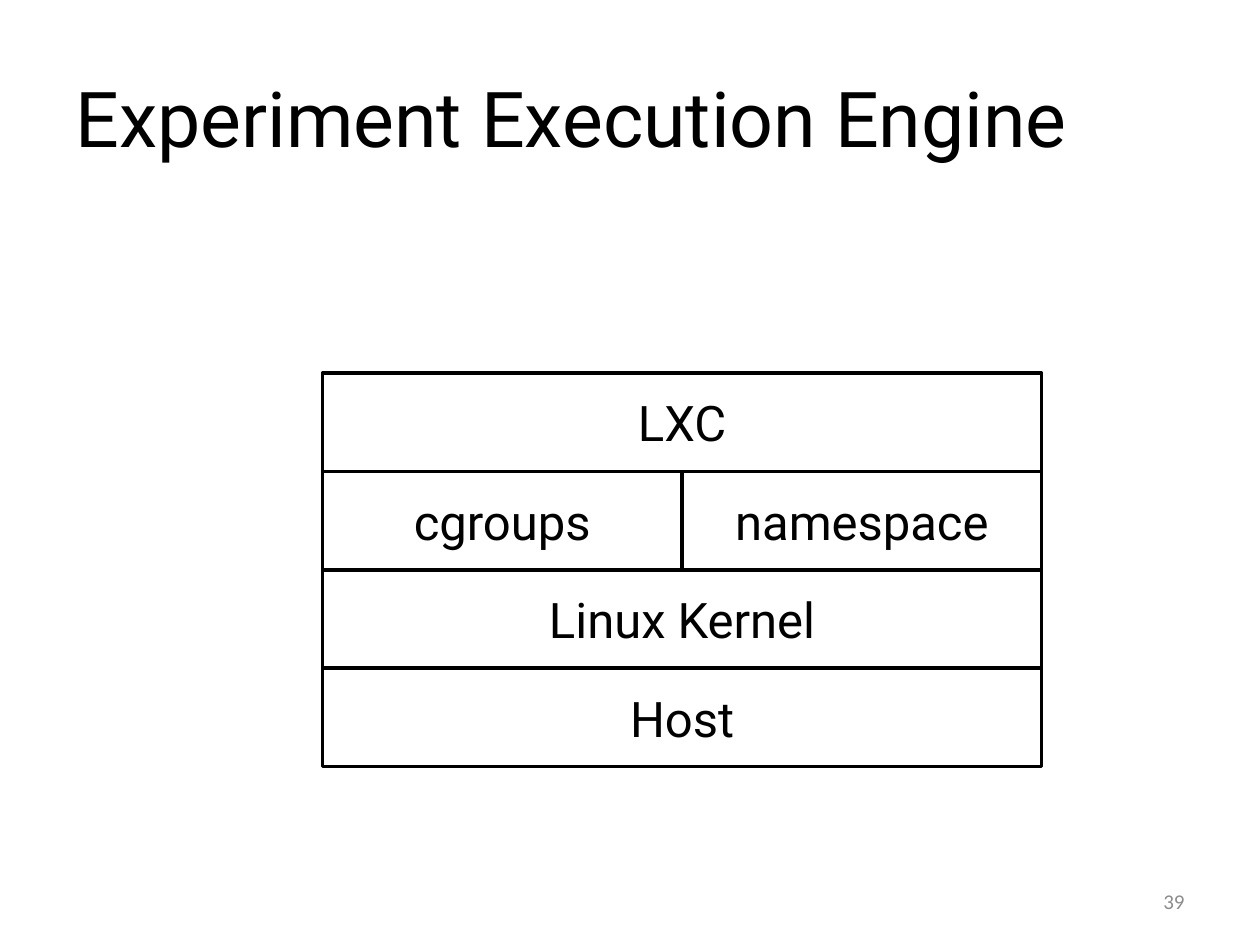
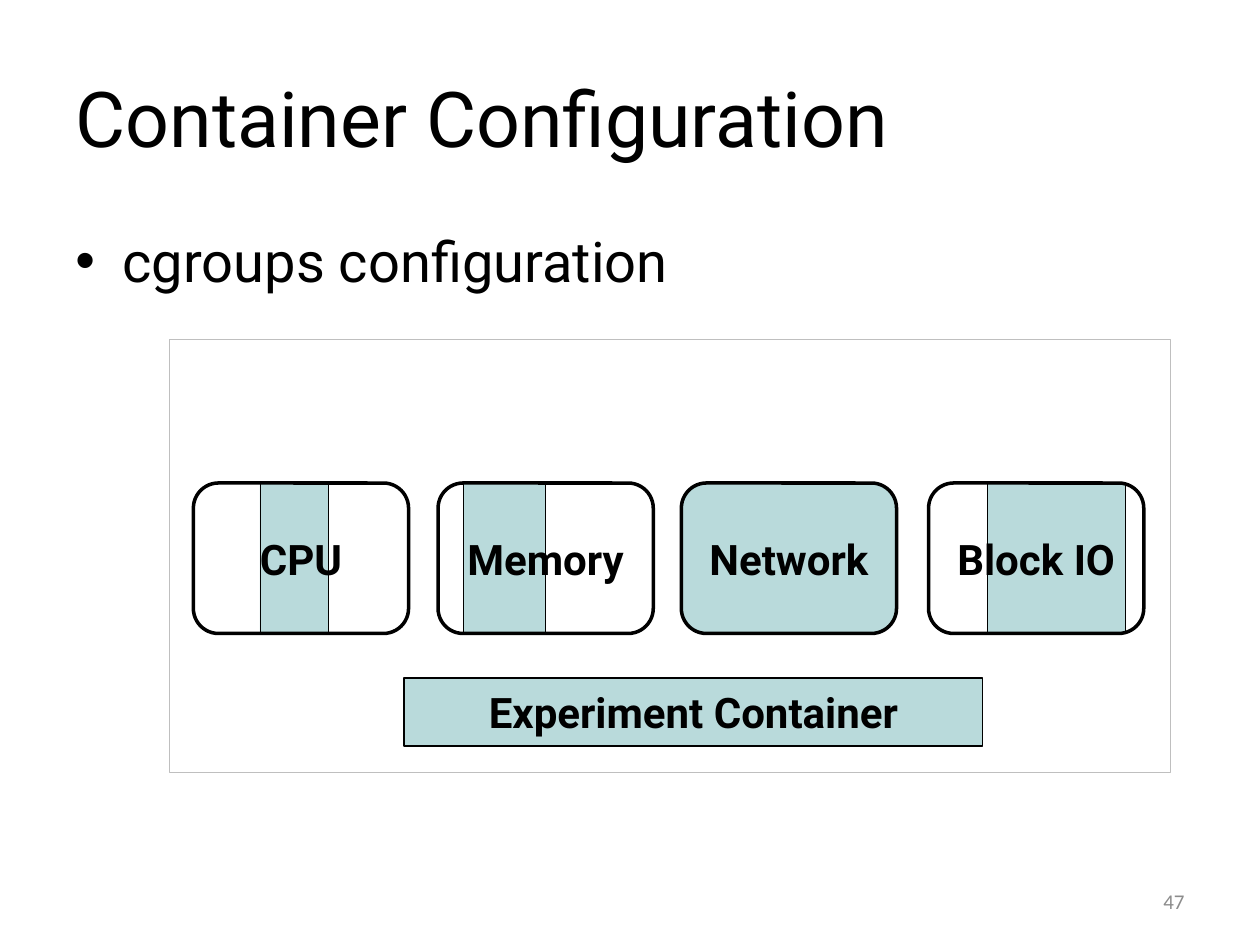
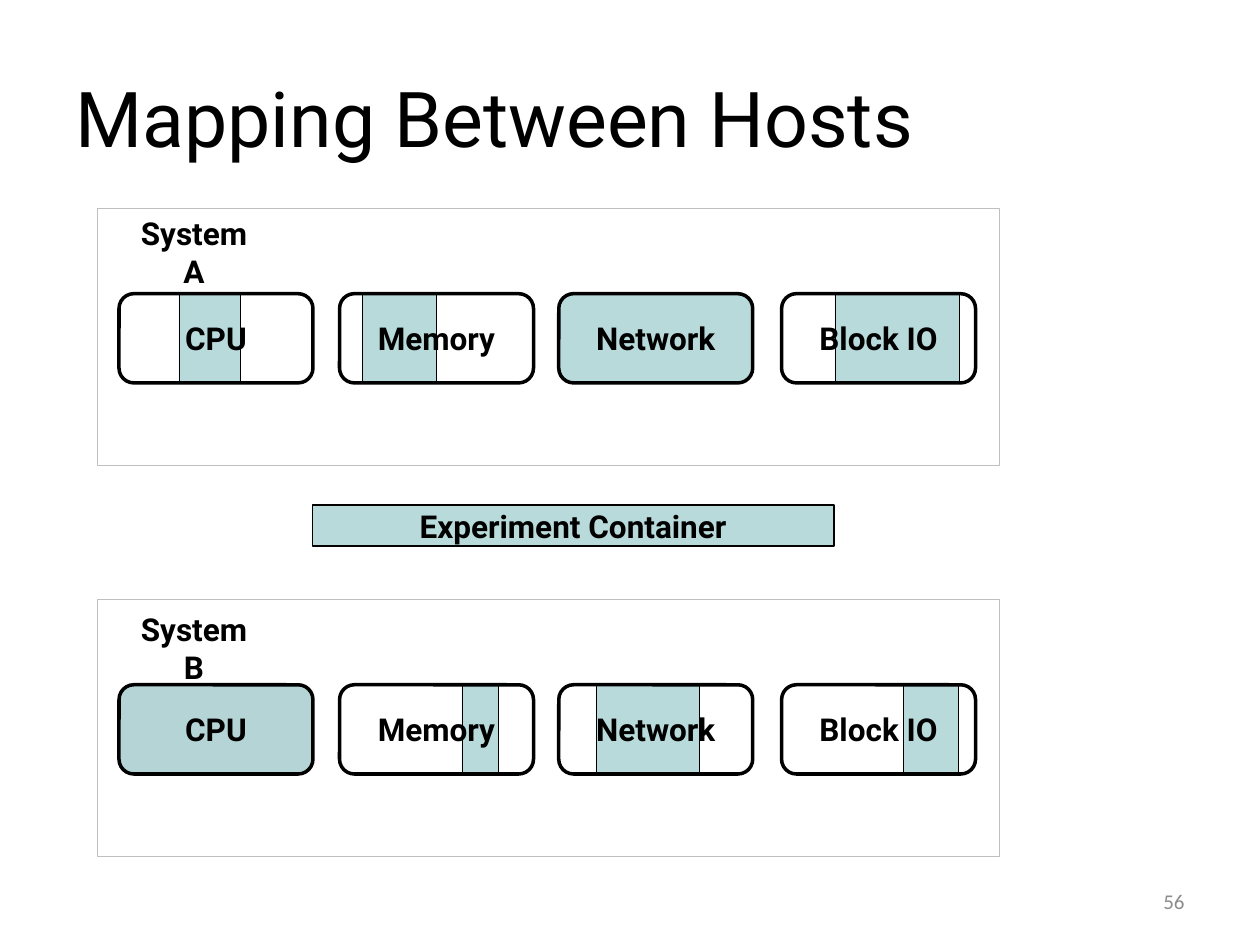
import dataclasses

import lxml.etree
import pptx
import pptx.dml.color
import pptx.enum.shapes
import pptx.enum.text
import pptx.oxml.ns
import pptx.util

Pt = pptx.util.Pt
Align = pptx.enum.text.PP_ALIGN
Anchor = pptx.enum.text.MSO_ANCHOR
Kind = pptx.enum.shapes.MSO_SHAPE


@dataclasses.dataclass(frozen=True)
class Theme:
    # Colours
    ink: str = "000000"
    paper: str = "FFFFFF"
    teal: str = "B9DADB"
    dusk: str = "B4D4D5"
    frame: str = "BFBFBF"
    grey: str = "8C8C8C"
    # Fonts and type sizes
    font: str = "Roboto"
    plain: str = "Calibri"
    title: int = 44
    body: int = 32
    layer: int = 28
    large: int = 24
    small: int = 18
    number: int = 12
    # Line widths
    bold: float = 2
    thin: float = 1
    hair: float = 0.25


THEME = Theme()

# Pill places, in percent of the frame around them
NAMES = ("CPU", "Memory", "Network", "Block IO")
LEFTS = (2.45, 26.9, 51.2, 75.9)
WIDE, TOP, HIGH = 21.5, 33.2, 34.7

# Share of each resource: start and width in percent of its pill
FULL = (0, 100)
HOST_A = ((30.9, 31.7), (11.7, 38.2), FULL, (27.4, 64))
HOST_B = (FULL, (63, 18.8), (19.2, 53.2), (62.7, 28.6))


def color(code):
    return pptx.dml.color.RGBColor.from_string(code)


def write(shape, text, size, align=Align.CENTER, anchor=Anchor.MIDDLE,
          bold=False, font=THEME.font, ink=THEME.ink):
    """Set one styled paragraph in a shape and return it."""
    frame = shape.text_frame
    frame.word_wrap = True
    frame.auto_size = pptx.enum.text.MSO_AUTO_SIZE.NONE
    frame.vertical_anchor = anchor
    para = frame.paragraphs[0]
    para.text = text
    para.alignment = align
    para.font.name = font
    para.font.size = Pt(size)
    para.font.bold = bold
    para.font.color.rgb = color(ink)
    return para


def place(slide, area):
    return slide.shapes.add_textbox(*map(Pt, area))


def draw(slide, area, fill=None, line=THEME.ink, width=THEME.bold,
         kind=Kind.RECTANGLE):
    shape = slide.shapes.add_shape(kind, *map(Pt, area))
    shape.shadow.inherit = False
    if fill:
        shape.fill.solid()
        shape.fill.fore_color.rgb = color(fill)
    else:
        shape.fill.background()
    shape.line.color.rgb = color(line)
    shape.line.width = Pt(width)
    return shape


def start(deck, title, number):
    """Add a slide with its title and page number."""
    slide = deck.slides.add_slide(deck.slide_layouts[5])
    head = slide.shapes.title
    head.left, head.top, head.width, head.height = map(Pt, (36, 21.6, 648, 90))
    write(head, title, THEME.title, Align.LEFT)
    write(place(slide, (516, 500.5, 168, 28.75)), number, THEME.number,
          Align.RIGHT, font=THEME.plain, ink=THEME.grey)
    return slide


def bullet(slide, area, text):
    para = write(place(slide, area), text, THEME.body, Align.LEFT, Anchor.TOP)
    para.space_before = Pt(6.4)
    props = para._p.get_or_add_pPr()
    props.set("marL", str(Pt(27)))
    props.set("indent", str(Pt(-27)))
    font = lxml.etree.SubElement(props, pptx.oxml.ns.qn("a:buFont"))
    font.set("typeface", "Arial")
    mark = lxml.etree.SubElement(props, pptx.oxml.ns.qn("a:buChar"))
    mark.set("char", "•")
    # Bullet marks must come before the default run style
    style = props.find(pptx.oxml.ns.qn("a:defRPr"))
    if style is not None:
        props.append(style)


def stack(slide, left, top, width, height, rows):
    """Draw rows of equal height, each split evenly among its cells."""
    for level, row in enumerate(rows):
        part = width / len(row)
        for col, name in enumerate(row):
            area = (left + col * part, top + level * height, part, height)
            write(draw(slide, area, THEME.paper), name, THEME.layer)


def host(slide, area, shares, size, full=THEME.teal):
    """Draw a framed row of resources with the shares in use."""
    left, top, width, height = area
    pill_top, pill_high = top + height * TOP / 100, height * HIGH / 100
    pill_wide = width * WIDE / 100
    spots = [left + width * step / 100 for step in LEFTS]

    # Partial shares lie behind the pills
    for spot, share in zip(spots, shares):
        if share != FULL:
            begin, part = (pill_wide * rate / 100 for rate in share)
            draw(slide, (spot + begin, pill_top, part, pill_high),
                 THEME.teal, width=THEME.hair)

    # Pills
    for name, spot, share in zip(NAMES, spots, shares):
        pill = draw(slide, (spot, pill_top, pill_wide, pill_high),
                    full if share == FULL else None,
                    kind=Kind.ROUNDED_RECTANGLE)
        write(pill, name, size, bold=True)

    # Frame
    edge = draw(slide, area, line=THEME.frame, width=THEME.hair,
                kind=Kind.ROUNDED_RECTANGLE)
    edge.adjustments[0] = 0


def label(slide, area, text):
    write(place(slide, area), text, THEME.small, anchor=Anchor.TOP, bold=True)


def crate(slide, area, size):
    box = draw(slide, area, THEME.teal, width=THEME.thin)
    write(box, "Experiment Container", size, bold=True)


def main():
    deck = pptx.Presentation()
    deck.slide_width, deck.slide_height = Pt(720), Pt(540)

    # Engine layers
    slide = start(deck, "Experiment Execution Engine", "39")
    stack(slide, 184.25, 213.25, 411, 56.2,
          (("LXC",), ("cgroups", "namespace"), ("Linux Kernel",), ("Host",)))

    # Container limits
    slide = start(deck, "Container Configuration", "47")
    bullet(slide, (36, 126, 648, 356.4), "cgroups configuration")
    crate(slide, (231, 387.5, 330.5, 38.75), THEME.large)
    host(slide, (96.5, 193.75, 572, 247.75), HOST_A, THEME.large)

    # Two hosts
    slide = start(deck, "Mapping Between Hosts", "56")
    host(slide, (55.4, 119, 515.5, 147), HOST_A, THEME.small)
    label(slide, (67.7, 119, 86.4, 28.8), "System A")
    crate(slide, (178.5, 288.75, 298, 23.25), THEME.small)
    host(slide, (55.4, 342.5, 515.5, 147), HOST_B, THEME.small, THEME.dusk)
    label(slide, (67.7, 345, 86.4, 28.8), "System B")

    deck.save("out.pptx")


if __name__ == "__main__":
    main()
